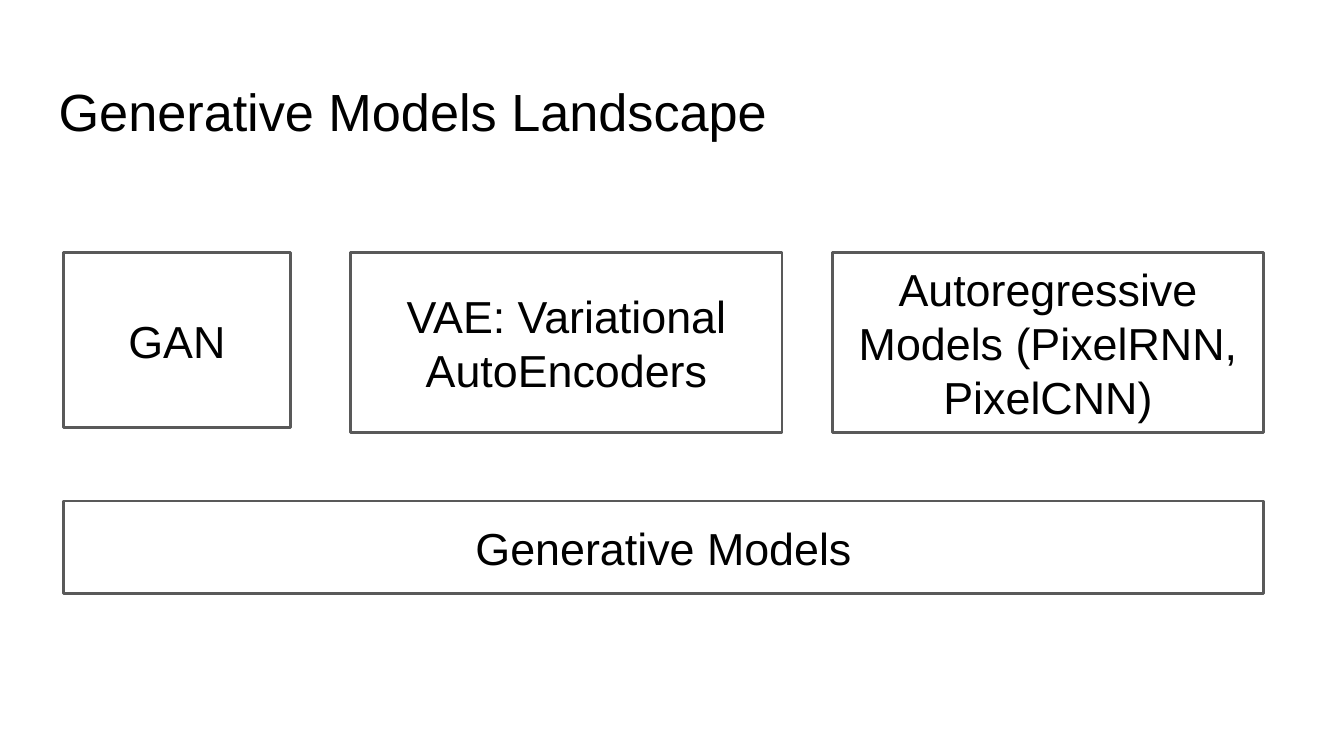
from dataclasses import dataclass

from pptx import Presentation
from pptx.dml.color import RGBColor
from pptx.enum.shapes import MSO_SHAPE
from pptx.enum.text import MSO_ANCHOR, PP_ALIGN
from pptx.util import Cm, Pt

RECT = MSO_SHAPE.RECTANGLE
TOP, MIDDLE = MSO_ANCHOR.TOP, MSO_ANCHOR.MIDDLE
LEFT, CENTER = PP_ALIGN.LEFT, PP_ALIGN.CENTER
BLACK, GREY = "000000", "595959"
FRAME = {
    "margin_left": Cm(0.25), "margin_right": Cm(0.25),
    "margin_top": Cm(0.25), "margin_bottom": Cm(0.25),
    "word_wrap": True,
}


@dataclass
class Box:
    text: str
    left: float
    top: float
    width: float
    height: float


def color(code: str) -> RGBColor:
    return RGBColor.from_string(code)


def write(shape, text: str, size: int, align, anchor) -> None:
    frame = shape.text_frame
    for name, value in {**FRAME, "vertical_anchor": anchor}.items():
        setattr(frame, name, value)
    line = frame.paragraphs[0]
    line.alignment = align
    run = line.add_run()
    run.text = text
    for name, value in {"name": "Arial", "size": Pt(size)}.items():
        setattr(run.font, name, value)
    run.font.color.rgb = color(BLACK)


def place(box: Box) -> tuple:
    return Cm(box.left), Cm(box.top), Cm(box.width), Cm(box.height)


def draw_title(slide, box: Box) -> None:
    write(slide.shapes.add_textbox(*place(box)), box.text, 28, LEFT, TOP)


def draw_box(slide, box: Box) -> None:
    shape = slide.shapes.add_shape(RECT, *place(box))
    shape.shadow.inherit = False
    shape.fill.background()
    shape.line.color.rgb = color(GREY)
    shape.line.width = Pt(1.5)
    write(shape, box.text, 24, CENTER, MIDDLE)


# Layout in centimetres
EDGE, ROW = 1.2, 4.78
WIDE, HIGH = 8.15, 3.4
SPAN = 22.68
TITLE = Box("Generative Models Landscape", 0.86, 1.24, 23.67, 1.6)
BOXES = [
    Box("Generative Models", EDGE, 9.47, SPAN, 1.75),
    Box("GAN", EDGE, ROW, 4.29, 3.3),
    Box("VAE: Variational AutoEncoders", 6.63, ROW, WIDE, HIGH),
    Box("Autoregressive Models (PixelRNN, PixelCNN)",
        EDGE + SPAN - WIDE, ROW, WIDE, HIGH),
]


def main() -> None:
    deck = Presentation()
    deck.slide_width, deck.slide_height = Cm(25.4), Cm(14.29)
    slide = deck.slides.add_slide(deck.slide_layouts[6])

    # Heading
    draw_title(slide, TITLE)

    # Model families above their common base
    for box in BOXES:
        draw_box(slide, box)

    deck.save("out.pptx")


if __name__ == "__main__":
    main()
